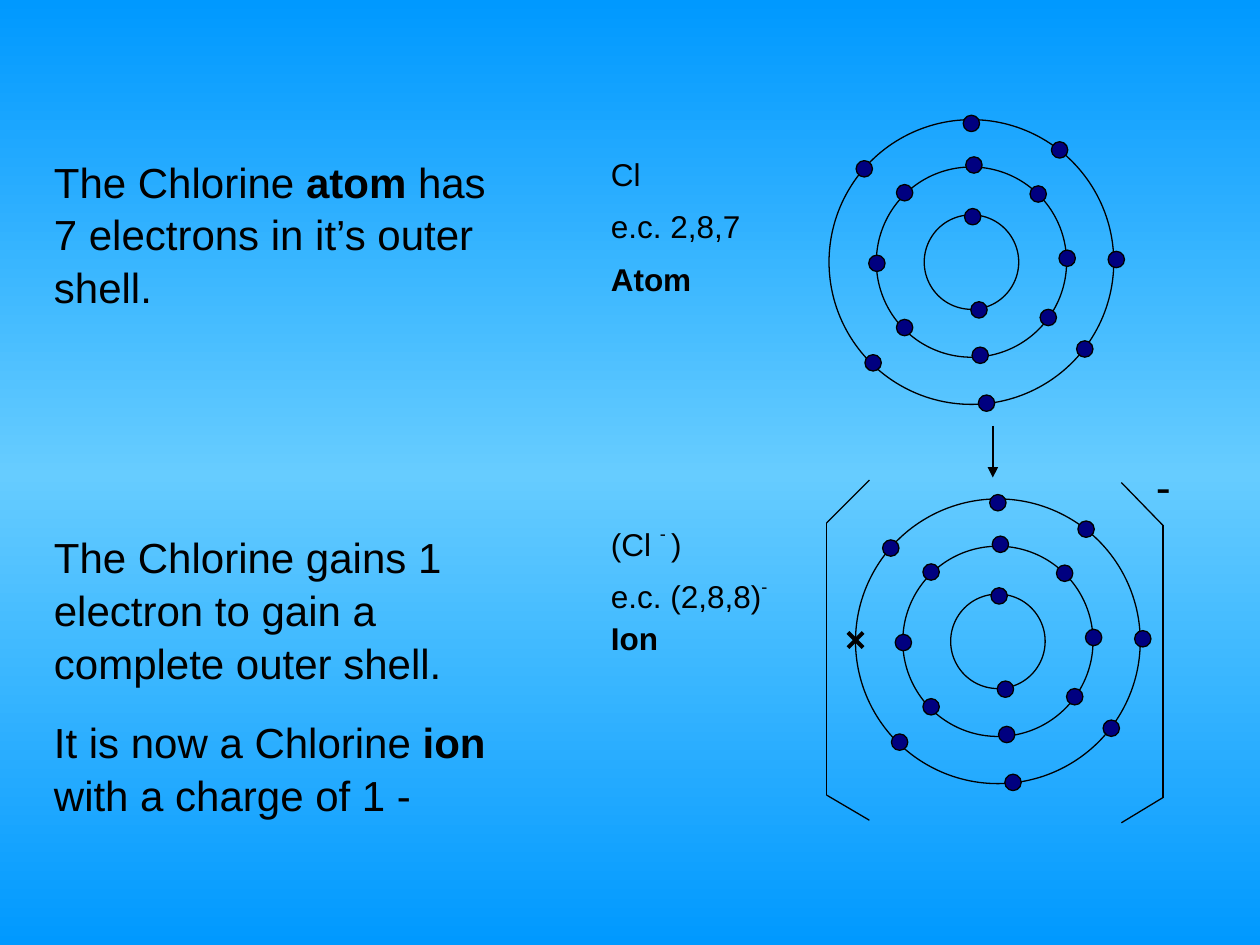
from copy import deepcopy
from dataclasses import dataclass

from pptx import Presentation
from pptx.dml.color import RGBColor
from pptx.enum.shapes import MSO_CONNECTOR, MSO_SHAPE
from pptx.enum.text import MSO_AUTO_SIZE
from pptx.oxml.ns import qn
from pptx.util import Emu, Inches, Pt
from lxml import etree

OVAL = MSO_SHAPE.OVAL
STRAIGHT = MSO_CONNECTOR.STRAIGHT
GROW = MSO_AUTO_SIZE.SHAPE_TO_FIT_TEXT

BLACK = RGBColor(0x00, 0x00, 0x00)
NAVY = RGBColor(0x00, 0x00, 0x80)
DEEP_BLUE = RGBColor(0x00, 0x99, 0xFF)
LIGHT_BLUE = RGBColor(0x66, 0xCC, 0xFF)

# The slide is a grid of 100 columns by 75 rows of square cells
SLIDE_W, SLIDE_H = Inches(10), Inches(7.5)
CELL = SLIDE_W // 100

THIN, THICK = 0.75, 2.25
ELECTRON_SIZE = 1.3
SHELL_SIZES = (7.5, 15.1, 22.6)

# Electron centres measured from the nucleus, one row per shell
ELECTRONS = (
    ((0.6, 3.8), (0.1, -3.6)),
    ((-5.3, 5.2), (6.1, 4.4), (5.3, -5.4), (-7.5, 0.1),
     (7.6, -0.3), (0.2, -7.7), (0.7, 7.4), (-5.3, -5.5)),
    ((0, -11), (7, -8.9), (11.5, -0.2), (9, 6.9),
     (1.2, 11.2), (-7.8, 8), (-8.5, -7.4)),
)


@dataclass(frozen=True)
class Run:
    text: str
    bold: bool = False
    raised: int = 0  # superscript height in percent


@dataclass(frozen=True)
class Label:
    top: float
    height: float
    runs: tuple[Run, ...]


@dataclass(frozen=True)
class Bracket:
    side: float
    tip: float
    top: float


LABELS = (
    Label(11.7, 4, (Run("Cl"),)),
    Label(15.8, 4, (Run("e.c. 2,8,7"),)),
    Label(20, 4, (Run("Atom", bold=True),)),
    Label(40.8, 4.2, (Run("(Cl "), Run("- ", raised=50), Run(")"))),
    Label(45, 4.2, (Run("e.c. (2,8,8)"), Run("-", raised=48))),
    Label(48.5, 4, (Run("Ion", bold=True),)),
)

ATOM_STORY = ((Run("The Chlorine "), Run("atom", bold=True),
               Run(" has 7 electrons in it’s outer shell.")),)
ION_STORY = (
    (Run("The Chlorine gains 1 electron to gain a complete outer shell."),),
    (Run("It is now a Chlorine"), Run(" ion ", bold=True),
     Run("with a charge of 1 -")),
)

BRACKETS = (Bracket(65.6, 69, 41.5), Bracket(92.3, 89, 41.7))


def cells(count: float) -> Emu:
    return Emu(round(count * CELL))


def add_text(shapes, left: float, top: float, width: float, height: float,
             paragraphs: tuple[tuple[Run, ...], ...], *, size: float = 24,
             font: str = "Arial", gap: float = 15, leading: float = 1.05) -> None:
    frame = shapes.add_textbox(*map(cells, (left, top, width, height))).text_frame
    frame.word_wrap = True
    frame.auto_size = GROW
    for index, runs in enumerate(paragraphs):
        paragraph = frame.add_paragraph() if index else frame.paragraphs[0]
        paragraph.line_spacing = leading
        if index:
            paragraph.space_before = Pt(gap)
        for part in runs:
            run = paragraph.add_run()
            run.text = part.text
            run.font.name = font
            run.font.size = Pt(size)
            run.font.bold = part.bold
            run.font.color.rgb = BLACK
            if part.raised:
                run.font._element.set("baseline", str(part.raised * 1000))


def add_line(shapes, x1: float, y1: float, x2: float, y2: float, *,
             weight: float = THIN, arrow: bool = False) -> None:
    line = shapes.add_connector(STRAIGHT, *map(cells, (x1, y1, x2, y2)))
    line.line.color.rgb = BLACK
    line.line.width = Pt(weight)
    if arrow:
        tail = etree.SubElement(line.line._get_or_add_ln(), qn("a:tailEnd"))
        tail.set("type", "triangle")
    etree.SubElement(line._element.spPr, qn("a:effectLst"))


def add_circle(shapes, x: float, y: float, size: float,
               fill: RGBColor | None = None) -> None:
    """Draw a circle around the centre (x, y)."""
    corner = (x - size / 2, y - size / 2)
    circle = shapes.add_shape(OVAL, *map(cells, (*corner, size, size)))
    circle.shadow.inherit = False
    circle.line.color.rgb = BLACK
    circle.line.width = Pt(THIN)
    if fill is None:
        circle.fill.background()
    else:
        circle.fill.solid()
        circle.fill.fore_color.rgb = fill


def add_shells(shapes, x: float, y: float) -> None:
    for size in SHELL_SIZES:
        add_circle(shapes, x, y, size)
    for shell in ELECTRONS:
        for dx, dy in shell:
            add_circle(shapes, x + dx, y + dy, ELECTRON_SIZE, NAVY)


def add_bracket(shapes, bracket: Bracket) -> None:
    side, tip, top = bracket.side, bracket.tip, bracket.top
    bottom = top + 21.6
    add_line(shapes, side, top, side, bottom)
    add_line(shapes, side, top, tip, top - 3.4)
    add_line(shapes, side, bottom, tip, bottom + 2)


def paint_background(slide) -> None:
    fill = slide.background.fill
    fill.gradient()
    fill.gradient_angle = 270
    stop_list = slide.element.find(".//" + qn("a:gsLst"))
    stop_list.append(deepcopy(stop_list[0]))
    colours = (DEEP_BLUE, LIGHT_BLUE, DEEP_BLUE)
    for index, (stop, colour) in enumerate(zip(fill.gradient_stops, colours)):
        stop.position = index / 2
        stop.color.rgb = colour


def main() -> None:
    deck = Presentation()
    deck.slide_width, deck.slide_height = SLIDE_W, SLIDE_H
    slide = deck.slides.add_slide(deck.slide_layouts[6])
    shapes = slide.shapes
    paint_background(slide)

    # Small dot in the middle of the slide
    add_line(shapes, 45.8, 37.5, 45.8, 37.5)

    # Chlorine atom
    add_shells(shapes.add_group_shape().shapes, 77.1, 20.8)

    # Labels and explanations
    for label in LABELS:
        add_text(shapes, 47.5, label.top, 16.7, label.height, (label.runs,), size=18)
    add_text(shapes, 3.3, 41.5, 38.3, 23.1, ION_STORY)
    add_text(shapes, 3.3, 11.7, 38.3, 13, ATOM_STORY)

    # From atom to ion
    add_line(shapes, 78.8, 33.8, 78.8, 37.9, arrow=True)

    # Chloride ion: shells, gained electron, brackets and charge
    ion = shapes.add_group_shape().shapes
    add_shells(ion, 79.2, 50.9)
    for start, end in ((50.2, 51.4), (51.4, 50.2)):
        add_line(ion, 67.3, start, 68.5, end, weight=THICK)
    for bracket in BRACKETS:
        add_bracket(ion, bracket)
    add_text(ion, 90.8, 35.8, 4.2, 5, ((Run("-", bold=True),),),
             font="Times New Roman")

    deck.save("out.pptx")


if __name__ == "__main__":
    main()
